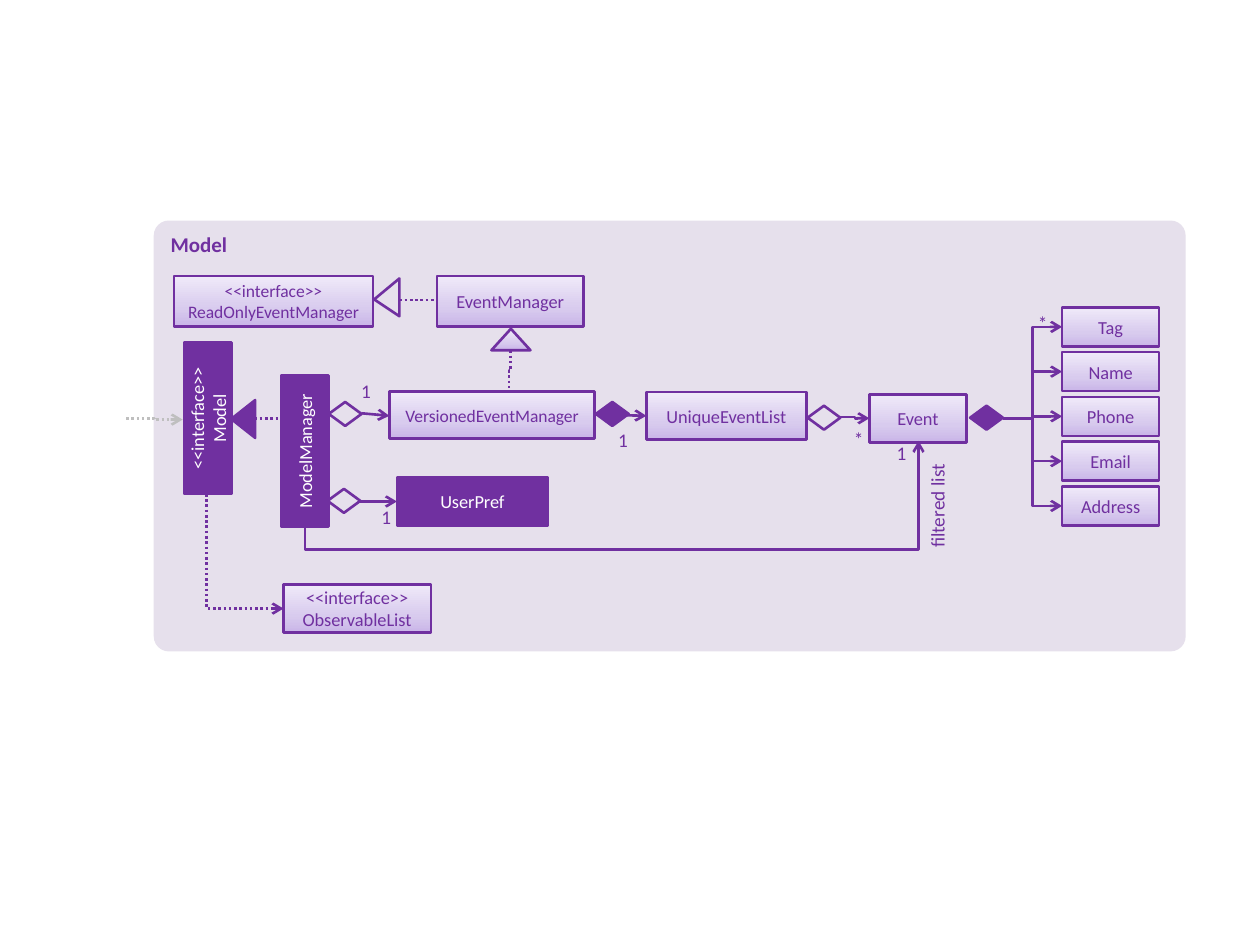
from copy import deepcopy

from lxml import etree
from pptx import Presentation
from pptx.dml.color import RGBColor
from pptx.enum import dml, shapes, text
from pptx.oxml import ns
from pptx.util import Inches, Pt

PURPLE = RGBColor(0x70, 0x30, 0xA0)
LAVENDER = RGBColor(0xE6, 0xE0, 0xEC)
GREY = RGBColor(0xBF, 0xBF, 0xBF)
WHITE = RGBColor(0xFF, 0xFF, 0xFF)
GRADIENT = [
    (0, RGBColor(0xC9, 0xB5, 0xE8)),
    (0.35, RGBColor(0xD8, 0xCB, 0xEE)),
    (1, RGBColor(0xF0, 0xEA, 0xF9)),
]
FONT = "Calibri"
LINE_WIDTH = Pt(1.5)
KIND = shapes.MSO_SHAPE
ALIGN = text.PP_ALIGN


def add_run(paragraph, words, size, color, bold=None):
    run = paragraph.add_run()
    run.text = words
    run.font.name = FONT
    run.font.size = Pt(size)
    run.font.bold = bold
    run.font.color.rgb = color


def paint(shape, fill):
    """Fill with a colour, with the GRADIENT stops, or not at all."""
    if fill is None:
        shape.fill.background()
    elif fill is GRADIENT:
        shape.fill.gradient()
        shape.fill.gradient_angle = 90
        stop_list = shape._element.spPr.find(".//" + ns.qn("a:gsLst"))
        stop_list.append(deepcopy(stop_list[0]))
        for stop, (position, color) in zip(shape.fill.gradient_stops, GRADIENT):
            stop.position = position
            stop.color.rgb = color
    else:
        shape.fill.solid()
        shape.fill.fore_color.rgb = fill


def add_figure(slide, kind, at, fill, rotation=0, outlined=True):
    figure = slide.shapes.add_shape(kind, *map(Inches, at))
    figure.shadow.inherit = False
    figure.rotation = rotation
    paint(figure, fill)
    if outlined:
        figure.line.color.rgb = PURPLE
        figure.line.width = LINE_WIDTH
    else:
        figure.line.fill.background()
    return figure


def add_class(slide, name, at, fill=GRADIENT, size=10.5, rotation=0, stereotype=None):
    box = add_figure(slide, KIND.RECTANGLE, at, fill, rotation)
    frame = box.text_frame
    frame.word_wrap = True
    frame.vertical_anchor = text.MSO_ANCHOR.MIDDLE
    color = PURPLE if fill is GRADIENT else WHITE
    paragraph = frame.paragraphs[0]
    paragraph.alignment = ALIGN.CENTER
    if stereotype:
        add_run(paragraph, stereotype, size, color)
        if rotation:
            paragraph = frame.add_paragraph()
            paragraph.alignment = ALIGN.CENTER
        else:
            paragraph.add_line_break()
    add_run(paragraph, name, size, color)


def add_diamond(slide, left, top, fill=None):
    add_figure(slide, KIND.FLOWCHART_DECISION, (left, top, 0.26, 0.19), fill)


def add_label(slide, words, at, align=ALIGN.CENTER, margin=0.0, rotation=0):
    label = slide.shapes.add_textbox(*map(Inches, at))
    label.rotation = rotation
    frame = label.text_frame
    frame.word_wrap = True
    frame.margin_left = frame.margin_right = Inches(margin)
    frame.margin_top = frame.margin_bottom = Inches(margin / 2)
    frame.paragraphs[0].alignment = align
    add_run(frame.paragraphs[0], words, 11, PURPLE)


def add_link(slide, begin, end, elbow=False, dotted=False, arrow=True, color=PURPLE):
    kind = shapes.MSO_CONNECTOR.ELBOW if elbow else shapes.MSO_CONNECTOR.STRAIGHT
    link = slide.shapes.add_connector(kind, *map(Inches, (*begin, *end)))
    link.line.color.rgb = color
    link.line.width = LINE_WIDTH
    if dotted:
        link.line.dash_style = dml.MSO_LINE.ROUND_DOT
    properties = link._element.spPr
    if arrow:
        etree.SubElement(properties.find(ns.qn("a:ln")), ns.qn("a:tailEnd"), type="arrow")
    etree.SubElement(properties, ns.qn("a:effectLst"))
    return link


def add_vertical_elbow(slide, begin, end, turn, flips="", bend=None,
                       preset="bentConnector3", **style):
    """An elbow that leaves its start vertically: a turned, re-centred connector."""
    link = add_link(slide, begin, end, elbow=True, **style)
    width, height = abs(end[1] - begin[1]), abs(end[0] - begin[0])
    link.left = Inches((begin[0] + end[0] - width) / 2)
    link.top = Inches((begin[1] + end[1] - height) / 2)
    link.width, link.height = Inches(width), Inches(height)
    frame = link._element.spPr.find(ns.qn("a:xfrm"))
    frame.set("rot", str(turn * 60000))
    frame.set("flipH", str(int("h" in flips)))
    frame.set("flipV", str(int("v" in flips)))
    geometry = link._element.spPr.find(ns.qn("a:prstGeom"))
    geometry.set("prst", preset)
    if bend is not None:
        guides = geometry.find(ns.qn("a:avLst"))
        etree.SubElement(guides, ns.qn("a:gd"), name="adj1", fmla=f"val {round(bend * 100000)}")


def add_panel(slide):
    panel = add_figure(slide, KIND.ROUNDED_RECTANGLE, (1.22, 1.75, 8.19, 3.42),
                       LAVENDER, outlined=False)
    panel.adjustments[0] = 0.035
    panel.text_frame.word_wrap = True
    panel.text_frame.vertical_anchor = text.MSO_ANCHOR.TOP
    heading = panel.text_frame.paragraphs[0]
    heading.alignment = ALIGN.LEFT
    add_run(heading, "Model", 12, PURPLE, bold=True)


def add_classes(slide):
    interface = "<<interface>>"
    add_class(slide, "UserPref", (3.15, 3.79, 1.2, 0.38), PURPLE)
    add_class(slide, "ModelManager", (1.82, 3.39, 1.2, 0.38), PURPLE, rotation=270)
    add_class(slide, "Model", (1.05, 3.13, 1.2, 0.38), PURPLE, rotation=270,
              stereotype=interface)
    add_class(slide, "VersionedEventManager", (3.09, 3.11, 1.63, 0.37), size=10)
    add_class(slide, "UniqueEventList", (5.13, 3.11, 1.27, 0.38))
    add_class(slide, "Event", (6.9, 3.13, 0.77, 0.38))
    add_class(slide, "ReadOnlyEventManager", (1.38, 2.19, 1.58, 0.4), size=10,
              stereotype=interface)
    add_class(slide, "ObservableList", (2.25, 4.64, 1.17, 0.38), stereotype=interface)
    add_class(slide, "EventManager", (3.47, 2.19, 1.16, 0.4))


def add_inheritance(slide):
    add_figure(slide, KIND.ISOSCELES_TRIANGLE, (1.78, 3.23, 0.3, 0.19), PURPLE, 270)
    add_link(slide, (2.02, 3.32), (2.26, 3.32), dotted=True, arrow=False)
    add_vertical_elbow(slide, (4.05, 2.78), (4.04, 3.1), 90, bend=0.5,
                       dotted=True, arrow=False)
    add_figure(slide, KIND.ISOSCELES_TRIANGLE, (3.9, 2.61, 0.31, 0.17), GRADIENT)
    read_only_head = add_figure(slide, KIND.ISOSCELES_TRIANGLE, (2.92, 2.26, 0.3, 0.2),
                                LAVENDER, 270)
    read_only_head.adjustments[0] = 0.445
    add_link(slide, (3.17, 2.38), (3.47, 2.38), elbow=True, dotted=True, arrow=False)


def add_associations(slide):
    for left, top, fill in [(2.6, 3.88, None), (2.61, 3.19, None), (4.73, 3.19, PURPLE),
                            (6.41, 3.22, None), (7.7, 3.22, PURPLE)]:
        add_diamond(slide, left, top, fill)
    add_link(slide, (2.85, 3.98), (3.15, 3.98))
    add_link(slide, (2.87, 3.28), (3.09, 3.3))
    add_link(slide, (4.73, 3.29), (5.13, 3.3))
    add_link(slide, (6.67, 3.31), (6.9, 3.32), elbow=True)
    add_link(slide, (1, 3.32), (1.45, 3.33), elbow=True, dotted=True, color=GREY)
    # Filtered list and observable list
    add_vertical_elbow(slide, (2.42, 4.18), (7.29, 3.5), 90, "hv", bend=-0.267)
    add_vertical_elbow(slide, (1.64, 3.92), (2.25, 4.83), 270, "h",
                       preset="bentConnector2", dotted=True)


def add_event_parts(slide):
    left, first_top, step, height = 8.43, 2.44, 0.355, 0.31
    for row, name in enumerate(["Tag", "Name", "Phone", "Email", "Address"]):
        top = first_top + row * step
        add_class(slide, name, (left, top, 0.77, height))
        add_link(slide, (7.96, 3.32), (left, top + height / 2), elbow=True)


def add_labels(slide):
    for words, left, top in [("1", 4.84, 3.4), ("*", 6.71, 3.39), ("1", 2.8, 3.01),
                             ("1", 2.96, 4.01), ("1", 7.05, 3.5), ("*", 8.17, 2.47)]:
        add_label(slide, words, (left, top, 0.21, 0.2))
    add_label(slide, "filtered list", (6.96, 3.92, 0.96, 0.29), ALIGN.RIGHT, 0.1, 270)


def main():
    deck = Presentation()
    deck.slide_width, deck.slide_height = Inches(10), Inches(7.5)
    slide = deck.slides.add_slide(deck.slide_layouts[6])
    add_panel(slide)
    add_classes(slide)
    add_inheritance(slide)
    add_associations(slide)
    add_event_parts(slide)
    add_labels(slide)
    deck.save("out.pptx")


main()
